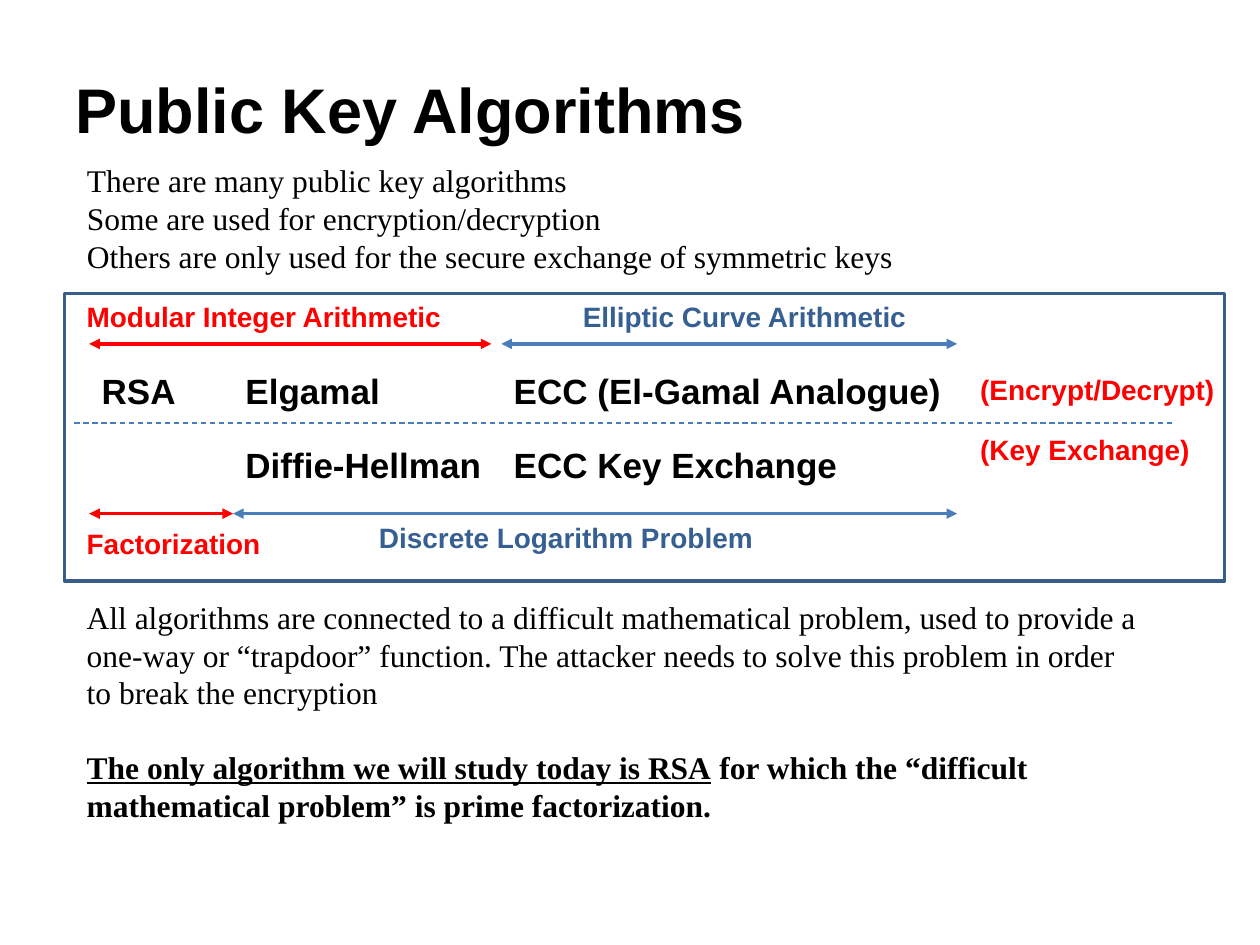
from lxml.etree import SubElement
from pptx import Presentation
from pptx.dml.color import RGBColor
from pptx.enum.dml import MSO_LINE
from pptx.enum.shapes import MSO_CONNECTOR, MSO_SHAPE
from pptx.enum.text import MSO_ANCHOR, MSO_AUTO_SIZE, PP_ALIGN
from pptx.oxml.ns import qn
from pptx.util import Pt

COLORS = {
    "ink": "000000",
    "red": "FF0000",
    "blue": "4A7EBB",
    "navy": "376092",
    "frame": "385D8A",
}
HEADING_FONT = "Arial"
BODY_FONT = "Times New Roman"


class SlideBuilder:
    """Holds the style and the current slide, and adds each kind of element."""

    def __init__(self, deck):
        self.slide = deck.slides.add_slide(deck.slide_layouts[1])

    def color(self, name):
        return RGBColor.from_string(COLORS[name])

    def place(self, shape, left, top, width, height):
        shape.left, shape.top = Pt(left), Pt(top)
        shape.width, shape.height = Pt(width), Pt(height)

    def add_span(self, para, text, size, font, color="ink", bold=False, underline=False):
        span = para.add_run()
        span.text = text
        span.font.name, span.font.size = font, Pt(size)
        span.font.bold, span.font.underline = bold, underline
        span.font.color.rgb = self.color(color)

    def title(self, text, *bounds):
        box = self.slide.shapes.title
        self.place(box, *bounds)
        frame = box.text_frame
        frame.auto_size = MSO_AUTO_SIZE.NONE
        frame.vertical_anchor = MSO_ANCHOR.MIDDLE
        para = frame.paragraphs[0]
        para.alignment = PP_ALIGN.LEFT
        self.add_span(para, text, 36, HEADING_FONT, bold=True)

    def body(self, lines, *bounds):
        box = self.slide.placeholders[1]
        self.place(box, *bounds)
        frame = box.text_frame
        frame.auto_size = MSO_AUTO_SIZE.NONE
        for index, line in enumerate(lines):
            para = frame.add_paragraph() if index else frame.paragraphs[0]
            properties = para._p.get_or_add_pPr()
            properties.set("marL", "0")
            properties.set("indent", "0")
            SubElement(properties, qn("a:buNone"))
            para.space_before = Pt(0)
            self.add_span(para, line, 18, BODY_FONT)

    def text_frame(self, *bounds):
        box = self.slide.shapes.add_textbox(*map(Pt, bounds))
        box.text_frame.word_wrap = True
        return box.text_frame

    def label(self, text, left, top, width, size=16, color="ink"):
        frame = self.text_frame(left, top, width, size * 1.2 + 7.2)
        self.add_span(frame.paragraphs[0], text, size, HEADING_FONT, color, bold=True)

    def closing(self, paragraphs, *bounds):
        frame = self.text_frame(*bounds)
        for index, spans in enumerate(paragraphs):
            para = frame.add_paragraph() if index else frame.paragraphs[0]
            if index:
                para.space_before = Pt(21)
            for text, bold, underline in spans:
                self.add_span(para, text, 18, BODY_FONT, bold=bold, underline=underline)

    def connector(self, color, weight, *ends):
        line = self.slide.shapes.add_connector(MSO_CONNECTOR.STRAIGHT, *map(Pt, ends))
        line.line.color.rgb = self.color(color)
        line.line.width = Pt(weight)
        SubElement(line._element.spPr, qn("a:effectLst"))
        return line

    def arrow(self, color, *ends):
        line = self.connector(color, 2, *ends)
        outline = line.line._get_or_add_ln()
        for end in ("a:headEnd", "a:tailEnd"):
            SubElement(outline, qn(end), type="triangle")

    def divider(self, color, *ends):
        self.connector(color, 0.75, *ends).line.dash_style = MSO_LINE.DASH

    def frame(self, color, *bounds):
        box = self.slide.shapes.add_shape(MSO_SHAPE.RECTANGLE, *map(Pt, bounds))
        box.shadow.inherit = False
        box.fill.background()
        box.line.color.rgb = self.color(color)
        box.line.width = Pt(2)


def main():
    deck = Presentation()
    deck.slide_width, deck.slide_height = Pt(720), Pt(540)
    builder = SlideBuilder(deck)

    margin, text_width = 42.5, 618
    builder.title("Public Key Algorithms", 36, 22.5, 648, 78.5)
    builder.body(
        [
            "There are many public key algorithms",
            "Some are used for encryption/decryption",
            "Others are only used for the secure exchange of symmetric keys",
        ],
        margin, 88.5, text_width, 72,
    )

    rsa, modular, elliptic, purpose = 51, 133.2, 286.5, 553
    encrypt_row, exchange_row = 207.5, 250
    for text, left, top, width in [
        ("RSA", rsa, encrypt_row, 60),
        ("Elgamal", modular, encrypt_row, 102),
        ("ECC (El-Gamal Analogue)", elliptic, encrypt_row, 363),
        ("Diffie-Hellman", modular, exchange_row, 153),
        ("ECC Key Exchange", elliptic, exchange_row, 204.5),
    ]:
        builder.label(text, left, top, width, size=20)

    heading_top, right_end = 167.8, 547
    for text, left, top, width, color in [
        ("Modular Integer Arithmetic", margin, heading_top, 227, "red"),
        ("Elliptic Curve Arithmetic", 326, heading_top, 204.5, "navy"),
        ("Discrete Logarithm Problem", 209.5, 293.8, 247, "navy"),
        ("Factorization", margin, 297.5, 124.5, "red"),
        ("(Encrypt/Decrypt)", purpose, 209.3, 153.5, "red"),
        ("(Key Exchange)", purpose, 243.5, 142, "red"),
    ]:
        builder.label(text, left, top, width, color=color)

    for color, start, end, height in [
        ("red", rsa, 280.8, 196.5),
        ("blue", elliptic, right_end, 196.5),
        ("red", rsa, modular, 293.5),
        ("blue", modular, right_end, 293.5),
    ]:
        builder.arrow(color, start, height, end, height)
    builder.divider("blue", margin, 241.8, 671.5, 241.8)

    builder.closing(
        [
            [(
                "All algorithms are connected to a difficult mathematical problem, "
                "used to provide a one-way or “trapdoor” function. The attacker needs "
                "to solve this problem in order to break the encryption",
                False, False,
            )],
            [
                ("The only algorithm we will study today is RSA", True, True),
                (
                    " for which the “difficult mathematical problem” "
                    "is prime factorization.",
                    True, False,
                ),
            ],
        ],
        margin, 338, text_width, 137,
    )
    builder.frame("frame", 36.8, heading_top, 663, 164.2)
    deck.save("out.pptx")


if __name__ == "__main__":
    main()
